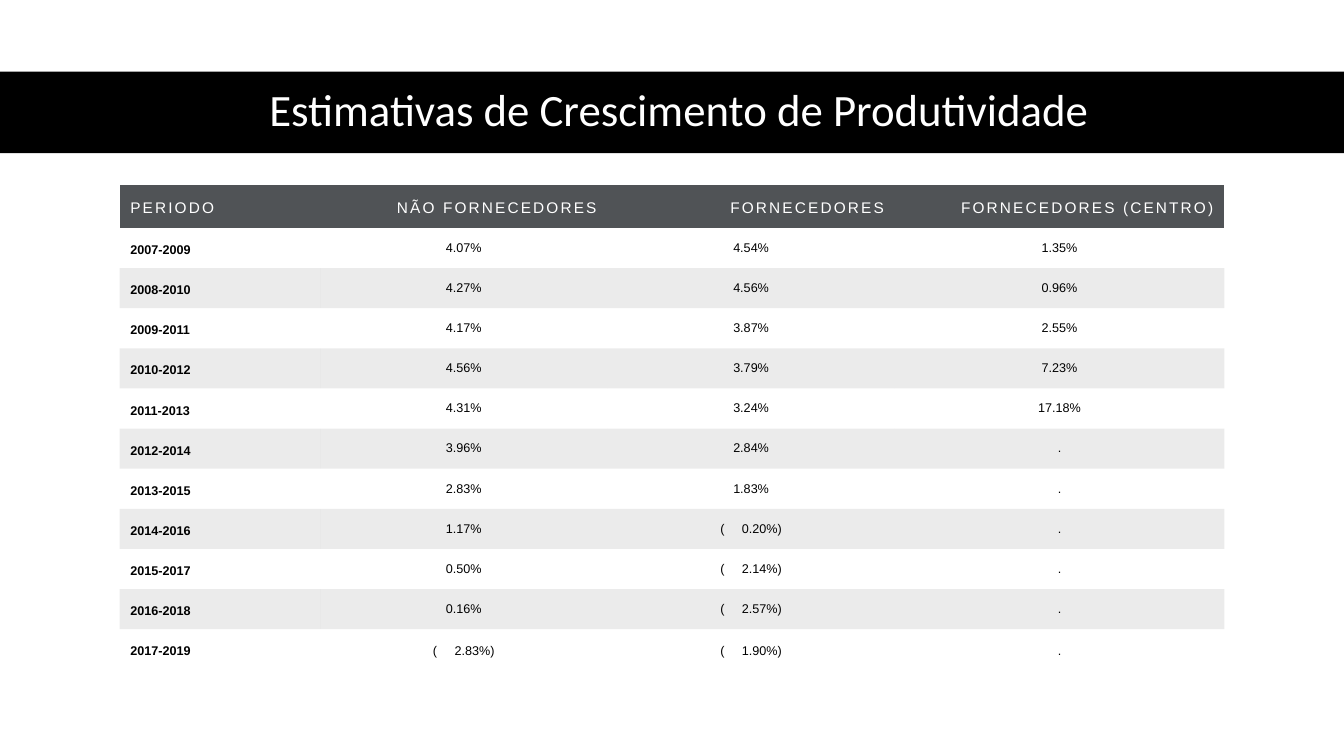
"""Builds the productivity growth slide with its banner and table."""
from dataclasses import dataclass

from lxml import etree
from pptx import Presentation
from pptx.dml.color import RGBColor as Rgb
from pptx.enum import shapes, text
from pptx.oxml import ns
from pptx.util import Pt

Align, Anchor = text.PP_ALIGN, text.MSO_ANCHOR


@dataclass(frozen=True)
class Theme:
    """Holds the colours, fonts and type sizes."""
    black: Rgb = Rgb(0, 0, 0)
    white: Rgb = Rgb(255, 255, 255)
    slate: Rgb = Rgb(0x50, 0x53, 0x56)
    shade: int = 8
    display: str = "Calibri"
    body: str = "Arial"
    title: float = 32
    head: float = 11
    cell: float = 9


THEME = Theme()
WIDTH, HEIGHT = 960, 540
COLS = (143.3, 205.2, 205.2, 235.4)
HEAD_H, ROW_H = 30.9, 28.68
PLAIN = "{2D5ABB26-0587-4C30-8999-92F81FD0307C}"
HEADS = ("PERIODO", "NÃO FORNECEDORES", "FORNECEDORES", "FORNECEDORES (CENTRO)")
START = 2007
RATES = (
    ("4.07%", "4.54%", "1.35%"),
    ("4.27%", "4.56%", "0.96%"),
    ("4.17%", "3.87%", "2.55%"),
    ("4.56%", "3.79%", "7.23%"),
    ("4.31%", "3.24%", "17.18%"),
    ("3.96%", "2.84%", "."),
    ("2.83%", "1.83%", "."),
    ("1.17%", "( 0.20%)", "."),
    ("0.50%", "( 2.14%)", "."),
    ("0.16%", "( 2.57%)", "."),
    ("( 2.83%)", "( 1.90%)", "."),
)


def style(para, face, size, color, align, bold=False):
    """Sets the font and alignment of a paragraph."""
    font = para.font
    font.name, font.size, font.bold = face, Pt(size), bold
    font.color.rgb = color
    para.alignment = align


def track(run, points):
    """Sets the letter spacing of a run."""
    run.font._element.set("spc", str(round(points * 100)))


def banner(slide):
    """Adds the black band across the slide."""
    band = slide.shapes.add_shape(
        shapes.MSO_SHAPE.RECTANGLE, 0, Pt(51.2), Pt(WIDTH), Pt(58.2))
    band.shadow.inherit = False
    band.fill.solid()
    band.fill.fore_color.rgb = THEME.black
    band.line.fill.background()
    tree = slide.shapes._spTree
    tree.remove(band._element)
    tree.insert(2, band._element)


def heading(slide, words):
    """Fills and places the title."""
    title = slide.shapes.title
    title.left, title.top = Pt(43.8), Pt(50.9)
    title.width, title.height = Pt(882.7), Pt(58.3)
    frame = title.text_frame
    frame.text = words
    frame.vertical_anchor = Anchor.MIDDLE
    para = frame.paragraphs[0]
    para.line_spacing = 0.9
    style(para, THEME.display, THEME.title, THEME.white, Align.CENTER)


def paint(cell, color, alpha=100):
    """Fills a cell with a colour at a given opacity."""
    cell.fill.solid()
    cell.fill.fore_color.rgb = color
    if alpha < 100:
        tint = cell._tc.tcPr.find(".//" + ns.qn("a:srgbClr"))
        etree.SubElement(tint, ns.qn("a:alpha"), val=str(alpha * 1000))


def write(cell, words, anchor):
    """Writes a cell, widening the gap after an opening bracket."""
    cell.margin_left = cell.margin_right = Pt(7.7)
    cell.margin_top = cell.margin_bottom = Pt(7.7)
    cell.vertical_anchor = anchor
    para = cell.text_frame.paragraphs[0]
    mark, gap, rest = words.partition(" ") if words[0] == "(" else (words, "", "")
    para.add_run().text = mark
    if gap:
        space = para.add_run()
        space.text = gap
        track(space, 10)
        para.add_run().text = rest
    return para


def header(grid):
    """Fills the header row."""
    for col, words in enumerate(HEADS):
        cell = grid.cell(0, col)
        paint(cell, THEME.slate)
        para = write(cell, words, Anchor.BOTTOM)
        align = Align.RIGHT if col else Align.LEFT
        style(para, THEME.body, THEME.head, THEME.white, align)
        track(para.runs[0], 1.5)


def record(grid, row, values):
    """Fills one period row, shading every second one."""
    for col, words in enumerate(values):
        cell = grid.cell(row, col)
        if row % 2:
            cell.fill.background()
        else:
            paint(cell, THEME.black, THEME.shade)
        low = col == 0 or row == len(RATES)
        para = write(cell, words, Anchor.BOTTOM if low else Anchor.MIDDLE)
        align = Align.CENTER if col else Align.LEFT
        style(para, THEME.body, THEME.cell, THEME.black, align, bold=col == 0)


def table(slide):
    """Adds the table of growth rates."""
    count = len(RATES)
    grid = slide.shapes.add_table(
        count + 1, len(COLS), Pt(85.4), Pt(131.9),
        Pt(sum(COLS)), Pt(HEAD_H + count * ROW_H)).table
    grid.first_row = grid.horz_banding = False
    grid._tbl.tblPr.find(ns.qn("a:tableStyleId")).text = PLAIN
    for col, width in zip(grid.columns, COLS):
        col.width = Pt(width)
    for index, row in enumerate(grid.rows):
        row.height = Pt(ROW_H if index else HEAD_H)
    header(grid)
    for index, rates in enumerate(RATES):
        year = START + index
        record(grid, index + 1, (f"{year}-{year + 2}", *rates))


def main():
    """Builds and saves the slide."""
    deck = Presentation()
    deck.slide_width, deck.slide_height = Pt(WIDTH), Pt(HEIGHT)
    slide = deck.slides.add_slide(deck.slide_layouts[5])
    banner(slide)
    heading(slide, "Estimativas de Crescimento de Produtividade")
    table(slide)
    deck.save("out.pptx")


if __name__ == "__main__":
    main()
